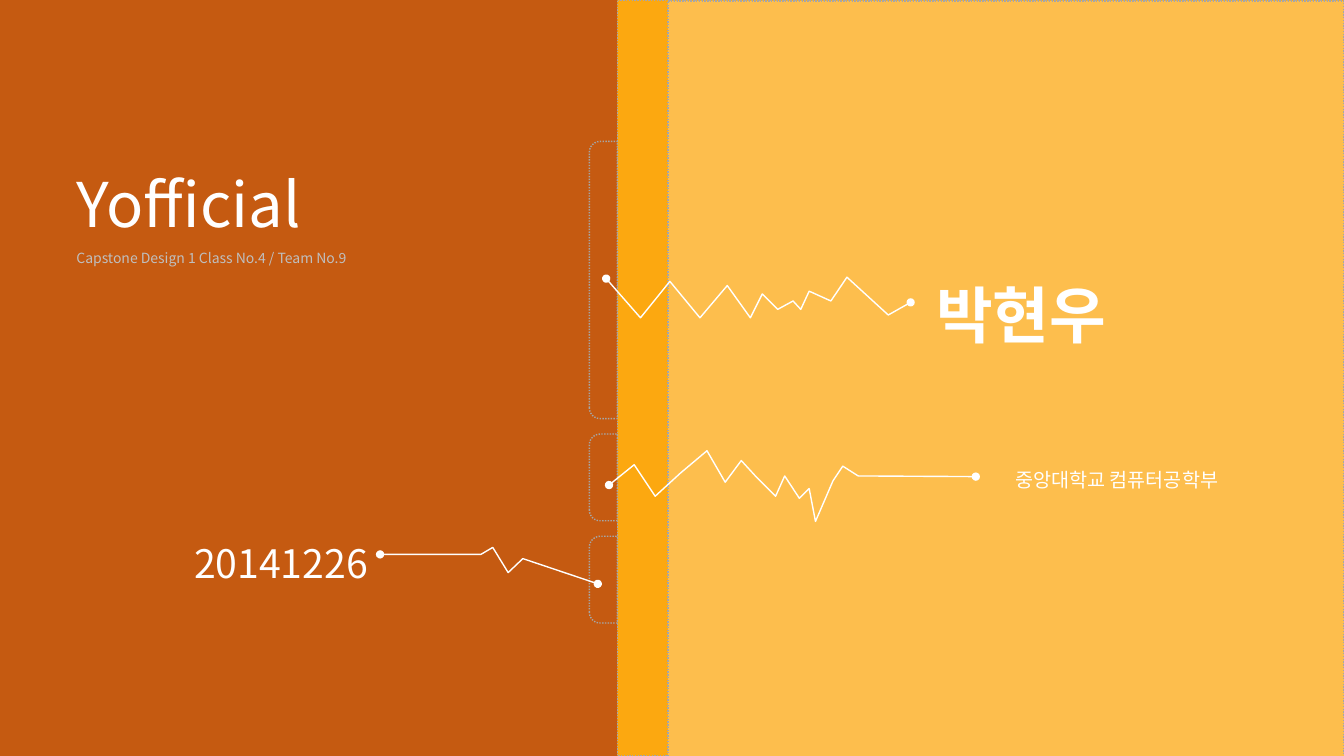
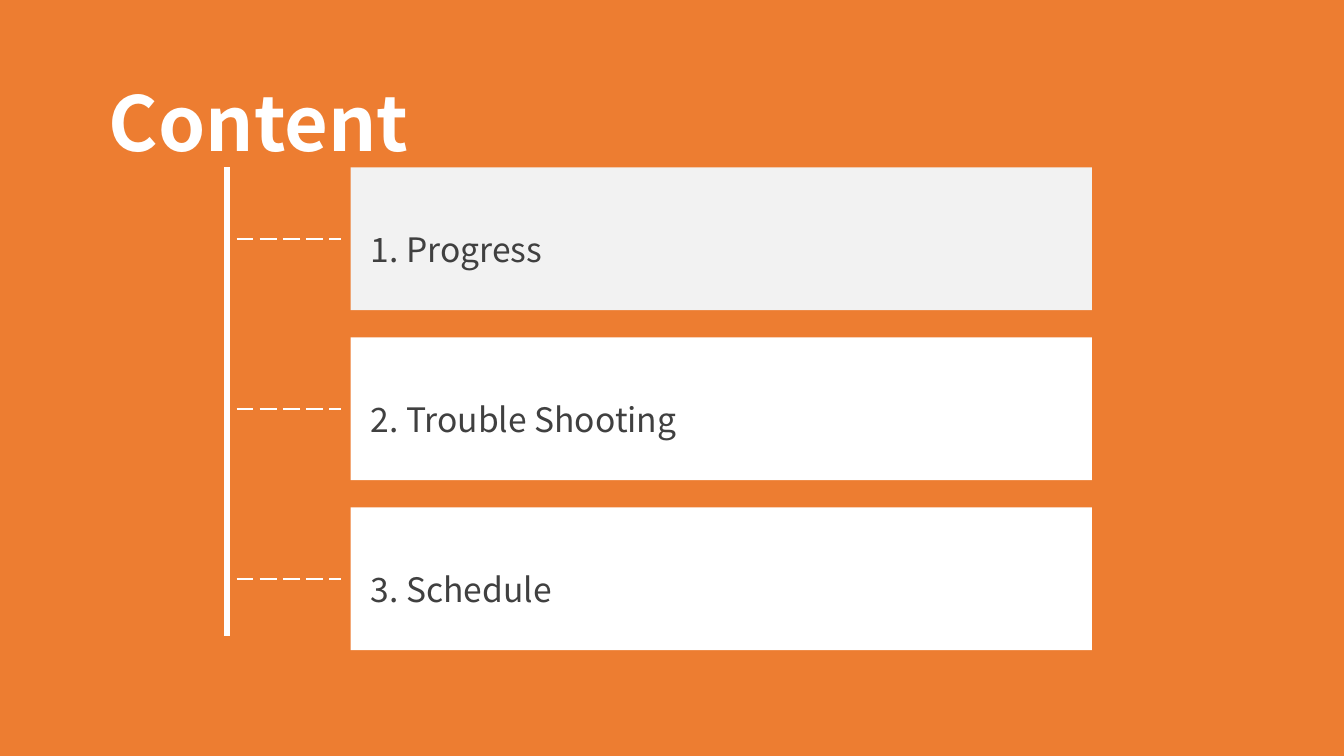
from lxml import etree
from pptx import Presentation
from pptx.dml.color import RGBColor
from pptx.enum import dml, shapes, text
from pptx.oxml.ns import qn
from pptx.util import Pt

FONT = "Noto Sans CJK KR"
WHITE, GREY, SILVER, INK = "FFFFFF", "A6A6A6", "BFBFBF", "404040"
RUST, ORANGE, AMBER, SAND, PALE = "C55A11", "ED7D31", "FCA810", "FDBE4D", "F2F2F2"
WIDTH, HEIGHT = 960, 540
DOT, DASH = dml.MSO_LINE.ROUND_DOT, dml.MSO_LINE.LONG_DASH

# Offsets of each pulse line from its box's top left corner, in points
NAME_PULSE = [(0, 1), (24.5, 29), (45.5, 3), (67, 29), (86.5, 6), (103, 29),
              (111.5, 12), (122.5, 23), (133.5, 17), (139, 23), (145, 10),
              (160.5, 17), (172, 0), (201.5, 27), (217.5, 18)]
SCHOOL_PULSE = [(0, 24.5), (18, 10), (33, 32.5), (51, 16), (70, 0), (83, 22.5),
                (94.5, 7), (105, 18.5), (119, 32.5), (125.5, 18), (136, 34),
                (143, 27), (147.5, 50.5), (160, 21.5), (167, 11), (178, 18),
                (262, 18.5)]
NUMBER_PULSE = [(0, 5), (72, 5), (80.5, 0), (91.5, 18), (102, 8), (155.5, 26)]


def color(value):
    return RGBColor.from_string(value)


def points(*lengths):
    return [Pt(length) for length in lengths]


# Shared text and line styles
def write(frame, words, size, fill=WHITE, bold=False, inset=7.2,
          anchor=text.MSO_ANCHOR.TOP):
    frame.word_wrap = True
    frame.auto_size = text.MSO_AUTO_SIZE.NONE
    frame.vertical_anchor = anchor
    frame.margin_left, frame.margin_right = points(inset, 7.2)
    frame.margin_top = frame.margin_bottom = Pt(3.6)
    para = frame.paragraphs[0]
    para.alignment = text.PP_ALIGN.LEFT
    para.line_spacing = 1.5
    span = para.add_run()
    span.text = words
    span.font.name, span.font.size, span.font.bold = FONT, Pt(size), bold
    span.font.color.rgb = color(fill)
    latin = span.font._element.find(qn("a:latin"))
    east_asian = etree.Element(qn("a:ea"), typeface=FONT)
    latin.addnext(east_asian)


def style_line(line, stroke, width, dash=None):
    line.color.rgb = color(stroke)
    line.width = Pt(width)
    if dash:
        line.dash_style = dash


def add_page(deck, fill):
    page = deck.slides.add_slide(deck.slide_layouts[5])
    page.background.fill.solid()
    page.background.fill.fore_color.rgb = color(fill)
    return page


def add_title(page, words, box, **style):
    title = page.shapes.title
    title.left, title.top, title.width, title.height = points(*box)
    write(title.text_frame, words, **style)


def add_label(page, words, box, **style):
    label = page.shapes.add_textbox(*points(*box))
    write(label.text_frame, words, **style)


def add_panel(page, box, fill=None, dotted=False, kind=shapes.MSO_SHAPE.RECTANGLE):
    panel = page.shapes.add_shape(kind, *points(*box))
    panel.shadow.inherit = False
    if fill:
        panel.fill.solid()
        panel.fill.fore_color.rgb = color(fill)
    else:
        panel.fill.background()
    if dotted:
        style_line(panel.line, GREY, 1, DOT)
    else:
        panel.line.fill.background()
    return panel


def add_bracket(page, left, top, width, height):
    """Dotted tab with round left corners, filling the given upright box."""
    across, down = left + width / 2, top + height / 2
    bracket = add_panel(page, (across - height / 2, down - width / 2, height, width),
                        dotted=True, kind=shapes.MSO_SHAPE.ROUND_2_SAME_RECTANGLE)
    bracket.rotation = 270
    bracket.adjustments[0], bracket.adjustments[1] = 0.385, 0


def add_pulse(page, left, top, offsets):
    """Zigzag line with a dot at both ends."""
    corners = [points(left + across, top + down) for across, down in offsets]
    builder = page.shapes.build_freeform(*corners[0], scale=1.0)
    builder.add_line_segments(corners[1:], close=False)
    pulse = builder.convert_to_shape()
    pulse.shadow.inherit = False
    pulse.fill.background()
    style_line(pulse.line, WHITE, 1)
    for end in ("a:headEnd", "a:tailEnd"):
        etree.SubElement(pulse.line._get_or_add_ln(), qn(end), type="oval")


def add_rule(page, start, end, width, dash=None):
    rule = page.shapes.add_connector(shapes.MSO_CONNECTOR.STRAIGHT,
                                     *points(*start, *end))
    style_line(rule.line, WHITE, width, dash)
    etree.SubElement(rule._element.spPr, qn("a:effectLst"))


# Cover regions
def add_heading(page, left, top, width):
    add_title(page, "Yofficial", (left, top, width, 80), size=44)
    add_label(page, "Capstone Design 1 Class No.4 / Team No.9",
              (left, top + 80, width, 25), size=10, fill=SILVER)


def add_backdrop(page, left, top, width, height):
    """Amber band with dotted tabs on its left edge and a sand panel on it."""
    add_panel(page, (left, top, width, height), AMBER, dotted=True)
    for offset, length in ((101, 198), (310, 62), (383, 62)):
        add_bracket(page, left - 20, top + offset, 20, length)
    add_panel(page, (left + 36, top + 0.7, width - 36, height), SAND, dotted=True)


def build_cover(deck):
    page = add_page(deck, RUST)
    add_heading(page, 47.5, 88.5, 310)
    add_backdrop(page, 441, 0, WIDTH - 441, HEIGHT)
    add_pulse(page, 433, 198, NAME_PULSE)
    add_label(page, "박현우", (661.5, 168, 148, 77), size=44, bold=True)
    add_pulse(page, 435, 322, SCHOOL_PULSE)
    add_label(page, "중앙대학교 컴퓨터공학부", (718, 322, 175, 30), size=14)
    add_pulse(page, 271.5, 391, NUMBER_PULSE)
    add_label(page, "20141226", (131.5, 365, 151, 52), size=28)


# Contents list: rail on the left, one dashed branch and card per entry
def add_contents(page, entries, left, top, width):
    card_left, card_height, pitch = left + 88.5, 102, 121.5
    for index, entry in enumerate(entries):
        card_top = top + index * pitch
        card = add_panel(page, (card_left, card_top, left + width - card_left,
                                card_height), WHITE if index else PALE)
        write(card.text_frame, f"{index + 1}. {entry}", size=24, fill=INK,
              inset=14.4, anchor=text.MSO_ANCHOR.MIDDLE)
        branch = card_top + card_height / 2
        add_rule(page, (left + 7, branch), (card_left - 7, branch), 1.5, DASH)
    rail_end = top + (len(entries) - 1) * pitch + card_height - 10.5
    add_rule(page, (left, top), (left, rail_end), 4.5)


def build_contents(deck):
    page = add_page(deck, ORANGE)
    add_title(page, "Content", (70.5, 18.5, 380, 93), size=54, bold=True)
    add_contents(page, ["Progress", "Trouble Shooting", "Schedule"], 162, 119.5, 618)


def main():
    deck = Presentation()
    deck.slide_width, deck.slide_height = points(WIDTH, HEIGHT)
    build_cover(deck)
    build_contents(deck)
    deck.save("out.pptx")


if __name__ == "__main__":
    main()
